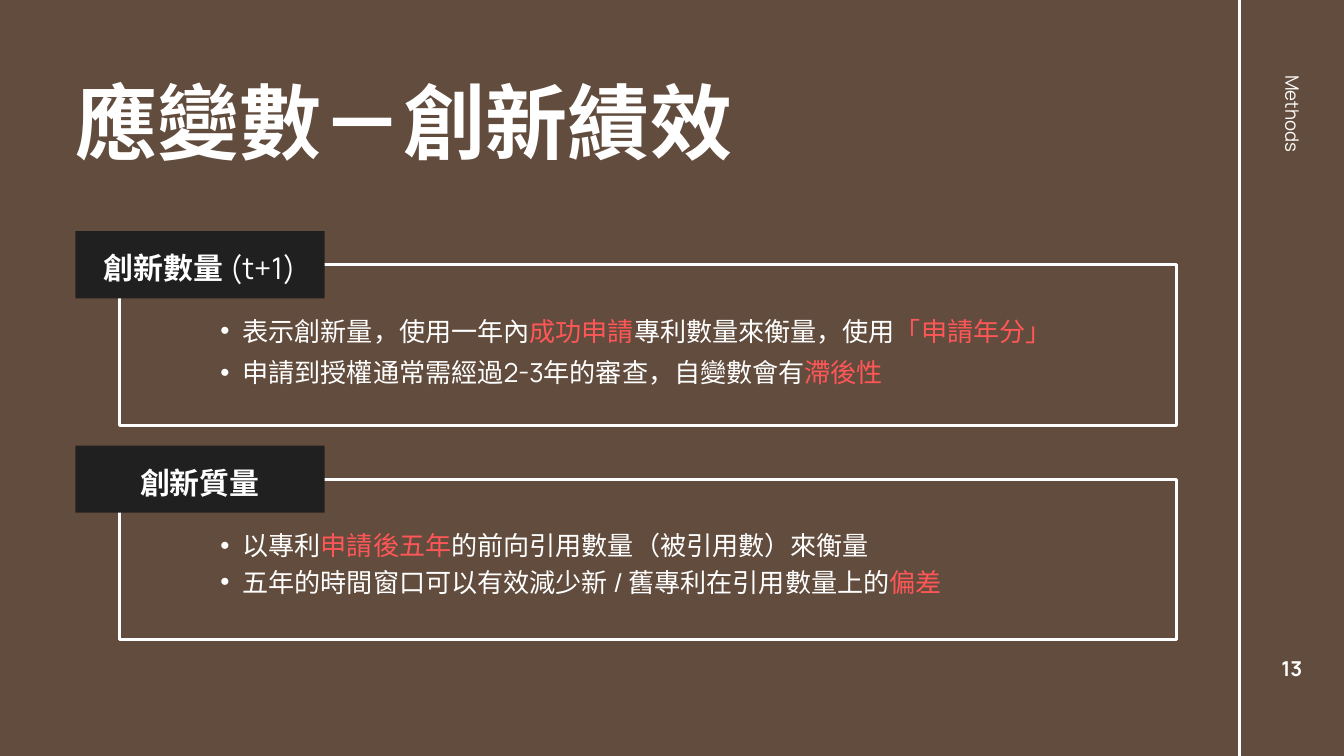
import pptx
import pptx.util
import pptx.dml.color
import pptx.enum.shapes
import pptx.enum.text
import pptx.oxml
import pptx.oxml.ns
import lxml.etree

Inches = pptx.util.Inches
Pt = pptx.util.Pt
RGBColor = pptx.dml.color.RGBColor
ALIGN = pptx.enum.text.PP_ALIGN
ANCHOR = pptx.enum.text.MSO_ANCHOR
SHAPES = pptx.enum.shapes.MSO_SHAPE
qn = pptx.oxml.ns.qn

BROWN = RGBColor(0x62, 0x4C, 0x3D)
BLACK = RGBColor(0x20, 0x20, 0x20)
WHITE = RGBColor(0xFF, 0xFF, 0xFF)
RED = RGBColor(0xFF, 0x57, 0x57)

TITLE = "應變數－創新績效"
SECTION = "Methods"
PAGE_NUMBER = "13"
PANELS = [
    {
        "tag": [("創新數量", True), (" (t+1)", False)],
        "bullets": [
            (39.2, [("表示創新量，使用一年內", WHITE), ("成功申請", RED),
                    ("專利數量來衡量，使用", WHITE), ("「申請年分」", RED)]),
            (44.8, [("申請到授權通常需經過2-3年的審查，自變數會有", WHITE),
                    ("滯後性", RED)]),
        ],
    },
    {
        "tag": [("創新質量", True)],
        "bullets": [
            (39.2, [("以專利", WHITE), ("申請後五年", RED),
                    ("的前向引用數量（被引用數）來衡量", WHITE)]),
            (39.2, [("五年的時間窗口可以有效減少新 / 舊專利在引用數量上的", WHITE),
                    ("偏差", RED)]),
        ],
    },
]
PANEL_TOP = 3.44
PANEL_STEP = 3.19


def prepare(shape, anchor=ANCHOR.TOP):
    frame = shape.text_frame
    frame.margin_left = frame.margin_right = 0
    frame.margin_top = frame.margin_bottom = 0
    frame.word_wrap = True
    frame.auto_size = pptx.enum.text.MSO_AUTO_SIZE.NONE
    frame.vertical_anchor = anchor
    return frame


def add_box(page, left, top, width, height):
    return page.shapes.add_textbox(
        Inches(left), Inches(top), Inches(width), Inches(height))


def add_rectangle(page, left, top, width, height):
    shape = page.shapes.add_shape(
        SHAPES.RECTANGLE, Inches(left), Inches(top), Inches(width), Inches(height))
    shape.shadow.inherit = False
    return shape


def format_paragraph(para, spacing, align=ALIGN.LEFT):
    para.alignment = align
    para.line_spacing = Pt(spacing)
    para.space_before = para.space_after = Pt(0)


def add_span(para, text, size, color=WHITE, bold=False, font="Manrope"):
    span = para.add_run()
    span.text = text
    span.font.size = Pt(size)
    span.font.bold = bold
    span.font.name = font
    span.font.color.rgb = color
    east_asian = lxml.etree.Element(qn("a:ea"), typeface=font)
    span.font._element.find(qn("a:latin")).addnext(east_asian)


def add_bullet(para):
    para.level = 1
    properties = para._p.get_or_add_pPr()
    properties.set("marL", str(Inches(0.66)))
    properties.set("indent", str(Inches(-0.33)))
    lxml.etree.SubElement(properties, qn("a:buFont"), typeface="Arial")
    lxml.etree.SubElement(properties, qn("a:buChar"), char="•")


def add_panel(page, panel, top):
    border = add_rectangle(page, 1.78, top + 0.5, 15.73, 2.39)
    border.fill.background()
    border.line.color.rgb = WHITE
    border.line.width = Pt(3)

    tag = add_rectangle(page, 1.12, top, 3.71, 1)
    tag.fill.solid()
    tag.fill.fore_color.rgb = BLACK
    tag.line.fill.background()
    para = prepare(tag, ANCHOR.MIDDLE).paragraphs[0]
    format_paragraph(para, 44.8, ALIGN.CENTER)
    for text, bold in panel["tag"]:
        add_span(para, text, 32, bold=bold)

    frame = prepare(add_box(page, 2.95, top + 1.17, 13.41, 1.13))
    for index, (spacing, spans) in enumerate(panel["bullets"]):
        para = frame.add_paragraph() if index else frame.paragraphs[0]
        add_bullet(para)
        format_paragraph(para, spacing)
        for text, color in spans:
            add_span(para, text, 28, color)


def main():
    deck = pptx.Presentation()
    deck.slide_width = Inches(20)
    deck.slide_height = Inches(11.25)
    page = deck.slides.add_slide(deck.slide_layouts[5])
    page.background.fill.solid()
    page.background.fill.fore_color.rgb = BROWN

    title = page.shapes.title
    title.left, title.top = Inches(1.12), Inches(1.28)
    title.width, title.height = Inches(10.17), Inches(1.3)
    para = prepare(title).paragraphs[0]
    format_paragraph(para, 89.8)
    add_span(para, TITLE, 88, bold=True, font="Karla")

    divider = page.shapes.add_connector(
        pptx.enum.shapes.MSO_CONNECTOR.STRAIGHT,
        Inches(18.45), 0, Inches(18.45), deck.slide_height)
    divider.line.color.rgb = WHITE
    divider.line.width = Pt(3)
    lxml.etree.SubElement(divider._element.spPr, qn("a:effectLst"))

    section = add_box(page, 16.95, 3.23, 4.62, 0.4)
    section.rotation = 90
    para = prepare(section).paragraphs[0]
    format_paragraph(para, 28)
    add_span(para, SECTION, 20)

    para = prepare(add_box(page, 18.9, 9.7, 0.65, 0.43)).paragraphs[0]
    format_paragraph(para, 30.8, ALIGN.CENTER)
    add_span(para, PAGE_NUMBER, 22, bold=True)

    for index, panel in enumerate(PANELS):
        add_panel(page, panel, PANEL_TOP + index * PANEL_STEP)

    deck.save("out.pptx")


if __name__ == "__main__":
    main()
